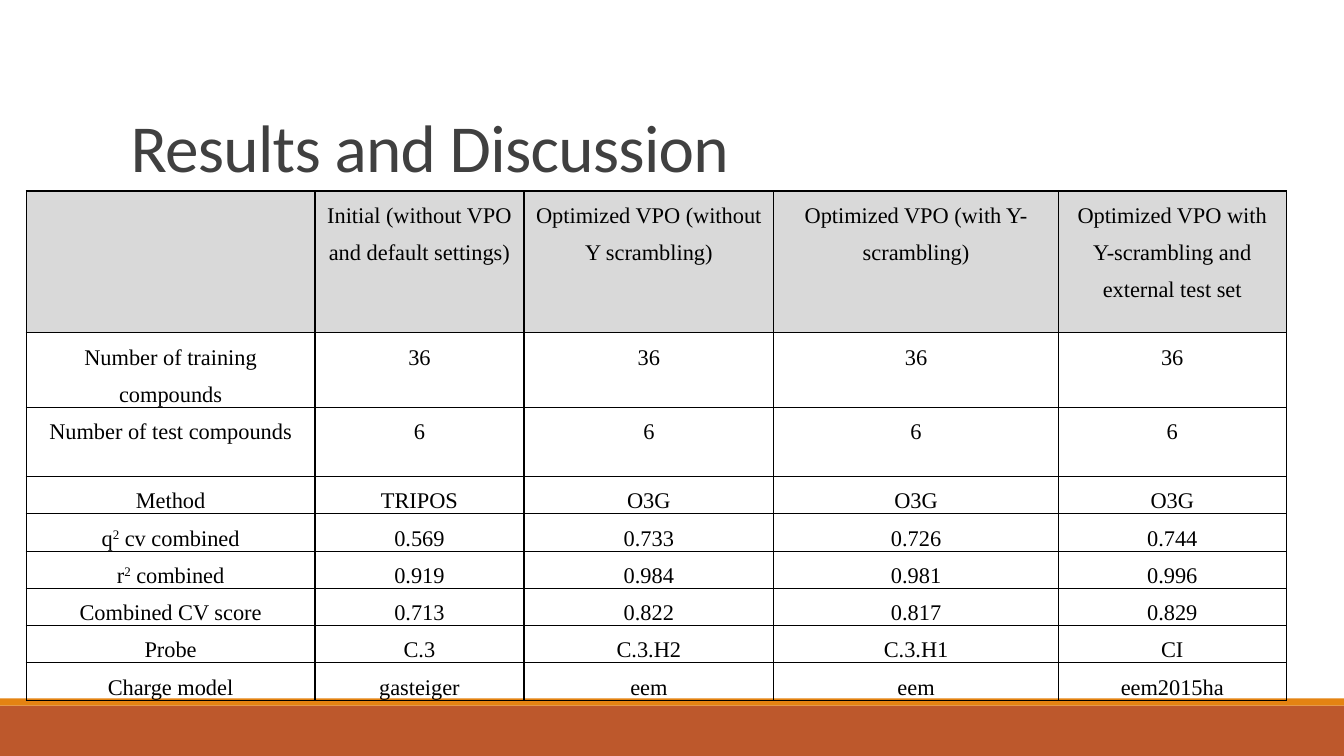
from lxml import etree
from pptx import Presentation, util as u
from pptx.dml.color import RGBColor
from pptx.enum import shapes, text
from pptx.oxml import ns

PX = 9525
RUST = RGBColor(0xBD, 0x58, 0x2C)
ORANGE = RGBColor(0xE4, 0x83, 0x12)
RULE_GREY = RGBColor(0x80, 0x80, 0x80)
TITLE_GREY = RGBColor(0x40, 0x40, 0x40)
HEADER_GREY = RGBColor(0xD9, 0xD9, 0xD9)
BLACK = RGBColor(0, 0, 0)

COLUMNS = [275, 199, 238, 271, 217]
ROWS = [135, 66, 66] + [35] * 6
RESULTS = [
    ["", "Initial (without VPO and default settings)", "Optimized VPO (without Y scrambling)",
     "Optimized VPO (with Y-scrambling)", "Optimized VPO with Y-scrambling and external test set"],
    ["Number of training compounds", "36", "36", "36", "36"],
    ["Number of test compounds", "6", "6", "6", "6"],
    ["Method", "TRIPOS", "O3G", "O3G", "O3G"],
    ["q^2^ cv combined", "0.569", "0.733", "0.726", "0.744"],
    ["r^2^ combined", "0.919", "0.984", "0.981", "0.996"],
    ["Combined CV score", "0.713", "0.822", "0.817", "0.829"],
    ["Probe", "C.3", "C.3.H2", "C.3.H1", "CI"],
    ["Charge model", "gasteiger", "eem", "eem", "eem2015ha"],
]
CELL_FORMAT = {"margin_left": 7 * PX, "margin_right": 7 * PX, "margin_top": 0, "margin_bottom": 0}
PARAGRAPH_FORMAT = {"alignment": text.PP_ALIGN.CENTER, "line_spacing": u.Pt(26.6), "space_after": u.Pt(8)}


def apply(target, values):
    """Set every attribute in values on target."""
    for name, value in values.items():
        setattr(target, name, value)


def emu(*lengths):
    """Turn px lengths into EMU."""
    return [length * PX for length in lengths]


def add_run(p, wording, font, size, color):
    """Append a formatted run to a paragraph."""
    r = p.add_run()
    r.text = wording
    apply(r.font, {"name": font, "size": u.Pt(size)})
    r.font.color.rgb = color
    return r


def add_footer(s, x, y, w, h):
    """Draw the thin orange strip above the rust band."""
    strip = 7
    for top, height, color in ((y + strip, h - strip, RUST), (y, strip, ORANGE)):
        sp = s.shapes.add_shape(shapes.MSO_SHAPE.RECTANGLE, *emu(x, top, w, height))
        sp.shadow.inherit = False
        sp.fill.solid()
        sp.fill.fore_color.rgb = color
        sp.line.fill.background()


def add_title(s, x, y, w, h):
    """Place the title above its grey rule."""
    rule = s.shapes.add_connector(shapes.MSO_CONNECTOR.STRAIGHT, *emu(x + 11, y + h, x + w + 1, y + h))
    rule.line.color.rgb = RULE_GREY
    rule.line.width = u.Pt(0.5)
    etree.SubElement(rule._element.spPr, ns.qn("a:effectLst"))
    tf = s.shapes.add_textbox(*emu(x, y, w, h)).text_frame
    apply(tf, {"word_wrap": True, "vertical_anchor": text.MSO_ANCHOR.BOTTOM})
    p = tf.paragraphs[0]
    p.line_spacing = 0.85
    r = add_run(p, "Results and Discussion", "Calibri", 48, TITLE_GREY)
    r.font._element.set("spc", "-50")


def add_borders(cell):
    """Give a cell a 1 pt black line on each side."""
    tc_pr = cell._tc.get_or_add_tcPr()
    for side in ("lnL", "lnR", "lnT", "lnB"):
        ln = etree.SubElement(tc_pr, ns.qn(f"a:{side}"), w=str(u.Pt(1)))
        fill = etree.SubElement(ln, ns.qn("a:solidFill"))
        etree.SubElement(fill, ns.qn("a:srgbClr"), val=str(BLACK))


def fill_cell(cell, wording, is_header):
    """Format one cell; text between carets is superscript."""
    apply(cell, CELL_FORMAT)
    add_borders(cell)
    if is_header:
        cell.fill.solid()
        cell.fill.fore_color.rgb = HEADER_GREY
    else:
        cell.fill.background()
    p = cell.text_frame.paragraphs[0]
    apply(p, PARAGRAPH_FORMAT)
    for i, part in enumerate(wording.split("^")):
        if part:
            r = add_run(p, part, "Times New Roman", 16, BLACK)
            if i % 2:
                r.font._element.set("baseline", "30000")


def add_results(s, x, y):
    """Build the results table from its top left corner."""
    box = emu(x, y, sum(COLUMNS), sum(ROWS))
    table = s.shapes.add_table(len(ROWS), len(COLUMNS), *box).table
    apply(table, {"first_row": False, "horz_banding": False})
    for column, width in zip(table.columns, COLUMNS):
        column.width = width * PX
    for i, (row, height) in enumerate(zip(table.rows, ROWS)):
        row.height = height * PX
        for cell, wording in zip(row.cells, RESULTS[i]):
            fill_cell(cell, wording, i == 0)


def main():
    """Build and save the slide."""
    prs = Presentation()
    prs.slide_width, prs.slide_height = emu(1280, 720)
    s = prs.slides.add_slide(prs.slide_layouts[6])
    add_footer(s, 0, 665, 1280, 55)
    add_title(s, 115, 30, 1056, 152)
    add_results(s, 25, 182)
    prs.save("out.pptx")


if __name__ == "__main__":
    main()
